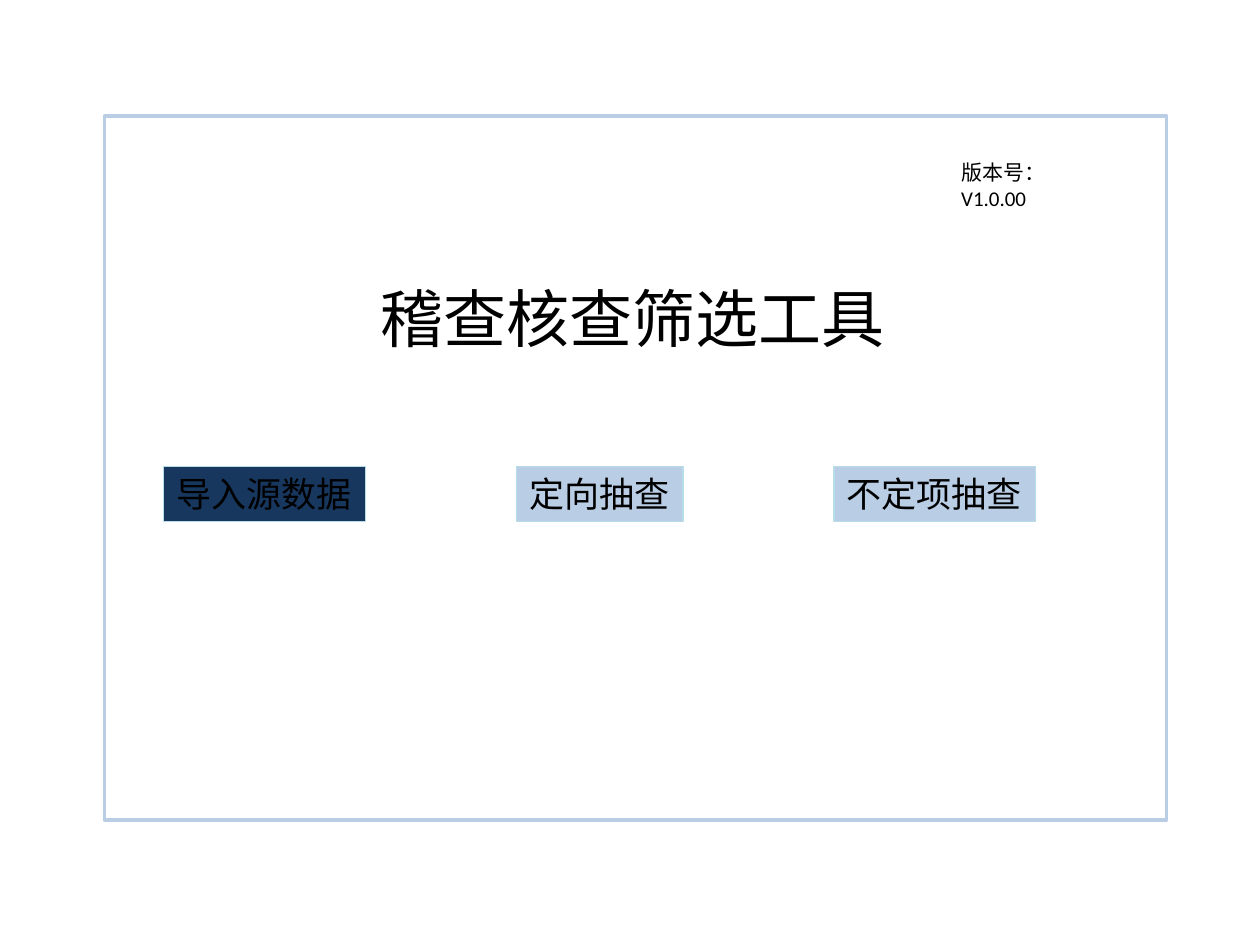
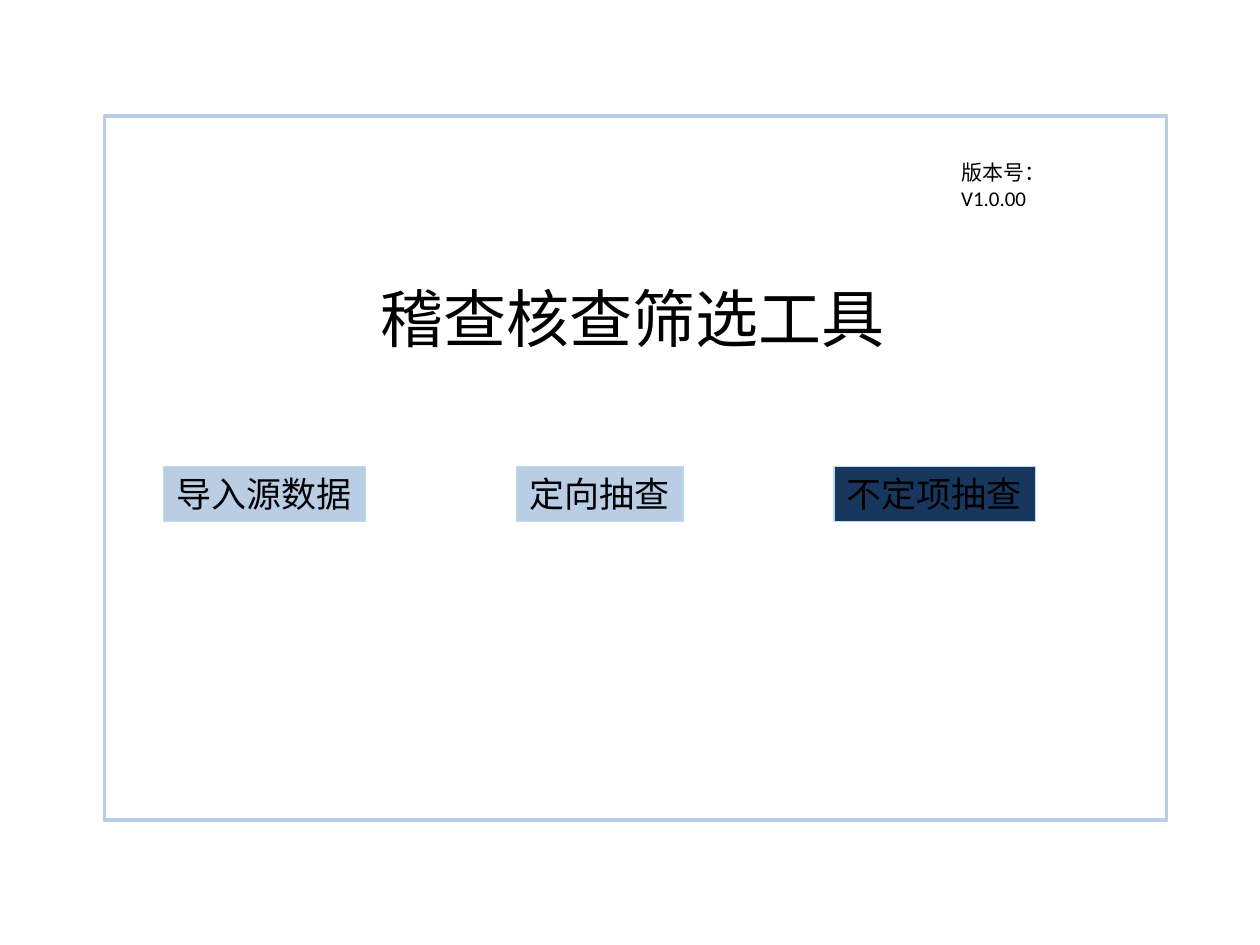
from dataclasses import dataclass

from pptx import Presentation
from pptx import util as u
from pptx.dml.color import RGBColor
from pptx.enum import shapes, text

BLACK = RGBColor(0x00, 0x00, 0x00)
NAVY = RGBColor(0x17, 0x37, 0x5E)
PALE_BLUE = RGBColor(0xB9, 0xCD, 0xE5)
AQUA = RGBColor(0xB7, 0xDE, 0xE8)
FONT = "Calibri"

COLUMNS, ROWS = 100, 75
CELL = u.Inches(0.1)

TITLE = "稽查核查筛选工具"
VERSION = "版本号：V1.0.00"
BUTTONS = ("导入源数据", "定向抽查", "不定项抽查")
ACTIVE_BUTTONS = ("导入源数据", "不定项抽查")
BUTTON_LEFT, BUTTON_TOP, BUTTON_HEIGHT, BUTTON_GAP = 13, 37, 4.4, 12
BUTTON_PADDING, CHARACTER_WIDTH = 2, 2.8


@dataclass(frozen=True)
class Area:
    column: float
    row: float
    columns: float
    rows: float

    def box(self) -> tuple[int, ...]:
        cells = (self.column, self.row, self.columns, self.rows)
        return tuple(round(n * CELL) for n in cells)


@dataclass(frozen=True)
class Button:
    label: str
    area: Area


FRAME_AREA = Area(8.3, 9.2, 84.3, 55.9)
TITLE_AREA = Area(29.2, 21.7, 42.4, 7.1)
VERSION_AREA = Area(75.3, 12.2, 14, 3)


def button_row() -> list[Button]:
    buttons = []
    column = BUTTON_LEFT
    for label in BUTTONS:
        width = BUTTON_PADDING + CHARACTER_WIDTH * len(label)
        buttons.append(Button(label, Area(column, BUTTON_TOP, width, BUTTON_HEIGHT)))
        column += width + BUTTON_GAP
    return buttons


def write(sp, content: str, size: float, wrap: bool = False) -> None:
    tf = sp.text_frame
    tf.text = content
    tf.word_wrap = wrap
    tf.auto_size = text.MSO_AUTO_SIZE.NONE
    tf.vertical_anchor = text.MSO_ANCHOR.TOP
    p = tf.paragraphs[0]
    p.alignment = text.PP_ALIGN.LEFT
    p.font.name = FONT
    p.font.size = u.Pt(size)
    p.font.color.rgb = BLACK


def add_box(slide, area: Area, line: RGBColor, weight: float, fill: RGBColor | None = None):
    sp = slide.shapes.add_shape(shapes.MSO_SHAPE.RECTANGLE, *area.box())
    sp.shadow.inherit = False
    if fill is None:
        sp.fill.background()
    else:
        sp.fill.solid()
        sp.fill.fore_color.rgb = fill
    sp.line.color.rgb = line
    sp.line.width = u.Pt(weight)
    return sp


def add_title(slide) -> None:
    title = slide.shapes.title
    title.left, title.top, title.width, title.height = TITLE_AREA.box()
    write(title, TITLE, 36)


def add_version(slide) -> None:
    sp = slide.shapes.add_textbox(*VERSION_AREA.box())
    write(sp, VERSION, 12, wrap=True)
    sp.text_frame.margin_right = u.Inches(0.5)


def add_screen(prs, active: str) -> None:
    slide = prs.slides.add_slide(prs.slide_layouts.get_by_name("Title Only"))
    add_box(slide, FRAME_AREA, PALE_BLUE, 2)
    add_title(slide)
    add_version(slide)
    for button in button_row():
        fill = NAVY if button.label == active else PALE_BLUE
        write(add_box(slide, button.area, AQUA, 0.75, fill), button.label, 20)


def main() -> None:
    prs = Presentation()
    prs.slide_width, prs.slide_height = COLUMNS * CELL, ROWS * CELL
    for active in ACTIVE_BUTTONS:
        add_screen(prs, active)
    prs.save("out.pptx")


if __name__ == "__main__":
    main()
